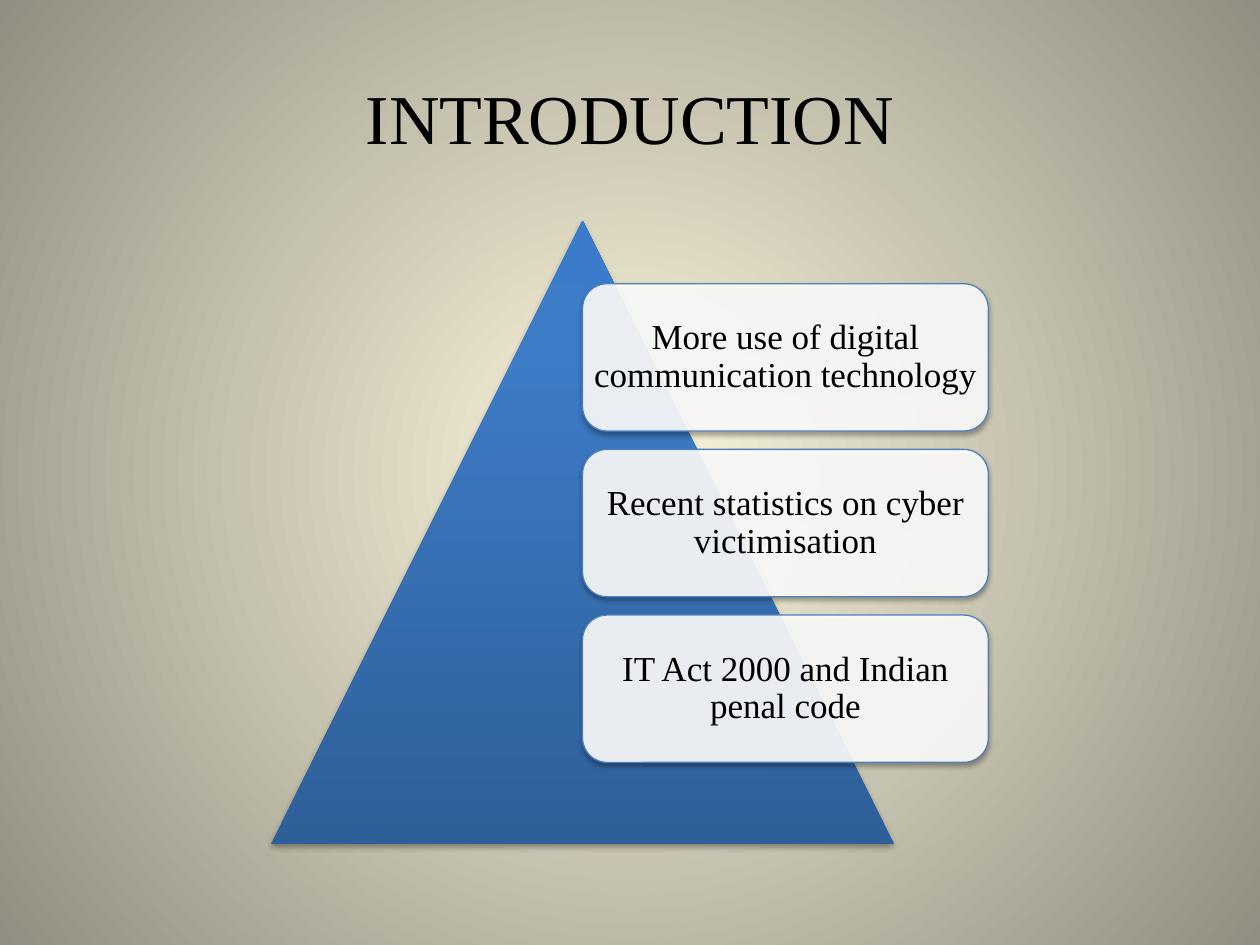
"""Build the introduction slide: a pyramid with three topic cards."""
import pptx
import pptx.dml.color
import pptx.enum.shapes
import pptx.enum.text
import pptx.oxml
import pptx.oxml.ns
import pptx.util
from pptx.util import Cm

TITLE = "INTRODUCTION"
TOPICS = [
    "More use of digital communication technology",
    "Recent statistics on cyber victimisation",
    "IT Act 2000 and Indian penal code",
]
THEME = {
    "font": "Times New Roman",
    "title_size": 40,
    "topic_size": 20,
    "text": "000000",
    "card": "FFFFFF",
    "card_opacity": 90,
    "card_line": "4F81BD",
    "backdrop": [(0, "FCF7DD"), (100, "918E81")],
    "pyramid": [(0, "2F5F99"), (80, "3D7CC7"), (100, "3A7CCB")],
}
RADIAL = ('<a:path path="circle"><a:fillToRect l="50000" t="50000" '
          'r="50000" b="50000"/></a:path>')
UPWARD = '<a:lin ang="16200000" scaled="0"/>'
SHADOW = ('<a:effectLst {ns}><a:outerShdw blurRad="40000" dist="23000" dir="5400000" '
          'rotWithShape="0"><a:srgbClr val="000000"><a:alpha val="35000"/>'
          '</a:srgbClr></a:outerShdw></a:effectLst>')
PYRAMID_LEFT, PYRAMID_TOP, PYRAMID_SIDE = 5.46, 4.45, 12.57
CARD_TOP, CARD_WIDTH, CARD_HEIGHT, CARD_GAP = 5.72, 8.18, 2.97, 0.37


def element(xml):
    return pptx.oxml.parse_xml(xml.format(ns=pptx.oxml.ns.nsdecls("a")))


def color(name):
    return pptx.dml.color.RGBColor.from_string(THEME[name])


def set_gradient(fill, parent, stops, direction):
    fill.solid()
    solid = parent.find(pptx.oxml.ns.qn("a:solidFill"))
    marks = "".join(f'<a:gs pos="{place * 1000}"><a:srgbClr val="{value}"/></a:gs>'
                    for place, value in stops)
    gradient = element("<a:gradFill {ns}><a:gsLst>" + marks + "</a:gsLst>"
                       + direction + "</a:gradFill>")
    parent.replace(solid, gradient)


def add_shadow(shape):
    shape.shadow.inherit = False
    properties = shape.element.spPr
    empty = properties.find(pptx.oxml.ns.qn("a:effectLst"))
    properties.replace(empty, element(SHADOW))


def write(shape, text, size, margin, spacing):
    frame = shape.text_frame
    layout = {"word_wrap": True, "auto_size": pptx.enum.text.MSO_AUTO_SIZE.NONE,
              "vertical_anchor": pptx.enum.text.MSO_ANCHOR.MIDDLE}
    layout.update({f"margin_{side}": Cm(margin)
                   for side in ("left", "right", "top", "bottom")})
    for name, value in layout.items():
        setattr(frame, name, value)
    para = frame.paragraphs[0]
    para.alignment = pptx.enum.text.PP_ALIGN.CENTER
    para.line_spacing = spacing
    span = para.add_run()
    span.text = text
    for name, value in {"name": THEME["font"], "size": pptx.util.Pt(size)}.items():
        setattr(span.font, name, value)
    span.font.color.rgb = color("text")


def add_pyramid(page):
    pyramid = page.shapes.add_shape(
        pptx.enum.shapes.MSO_SHAPE.ISOSCELES_TRIANGLE,
        Cm(PYRAMID_LEFT), Cm(PYRAMID_TOP), Cm(PYRAMID_SIDE), Cm(PYRAMID_SIDE))
    set_gradient(pyramid.fill, pyramid.element.spPr, THEME["pyramid"], UPWARD)
    pyramid.line.fill.background()
    add_shadow(pyramid)


def add_card(page, index, topic):
    left = PYRAMID_LEFT + PYRAMID_SIDE / 2
    top = CARD_TOP + index * (CARD_HEIGHT + CARD_GAP)
    card = page.shapes.add_shape(
        pptx.enum.shapes.MSO_SHAPE.ROUNDED_RECTANGLE,
        Cm(left), Cm(top), Cm(CARD_WIDTH), Cm(CARD_HEIGHT))
    card.fill.solid()
    card.fill.fore_color.rgb = color("card")
    tint = card.element.spPr.find(".//" + pptx.oxml.ns.qn("a:srgbClr"))
    tint.append(element('<a:alpha {ns} val="%d"/>' % (THEME["card_opacity"] * 1000)))
    card.line.color.rgb = color("card_line")
    card.line.width = pptx.util.Pt(0.75)
    add_shadow(card)
    write(card, topic, THEME["topic_size"], 0.06, 0.9)


def main():
    deck = pptx.Presentation()
    deck.slide_width, deck.slide_height = Cm(25.4), Cm(19.05)
    page = deck.slides.add_slide(deck.slide_layouts.get_by_name("Title Only"))
    backdrop = page.background.fill
    backdrop.solid()
    holder = page.element.find(".//" + pptx.oxml.ns.qn("p:bgPr"))
    set_gradient(backdrop, holder, THEME["backdrop"], RADIAL)
    title = page.shapes.title
    place = {"left": 1.27, "top": 0.76, "width": 22.86, "height": 3.18}
    for name, value in place.items():
        setattr(title, name, Cm(value))
    write(title, TITLE, THEME["title_size"], 0.2, 1.0)
    add_pyramid(page)
    for index, topic in enumerate(TOPICS):
        add_card(page, index, topic)
    deck.save("out.pptx")


if __name__ == "__main__":
    main()
